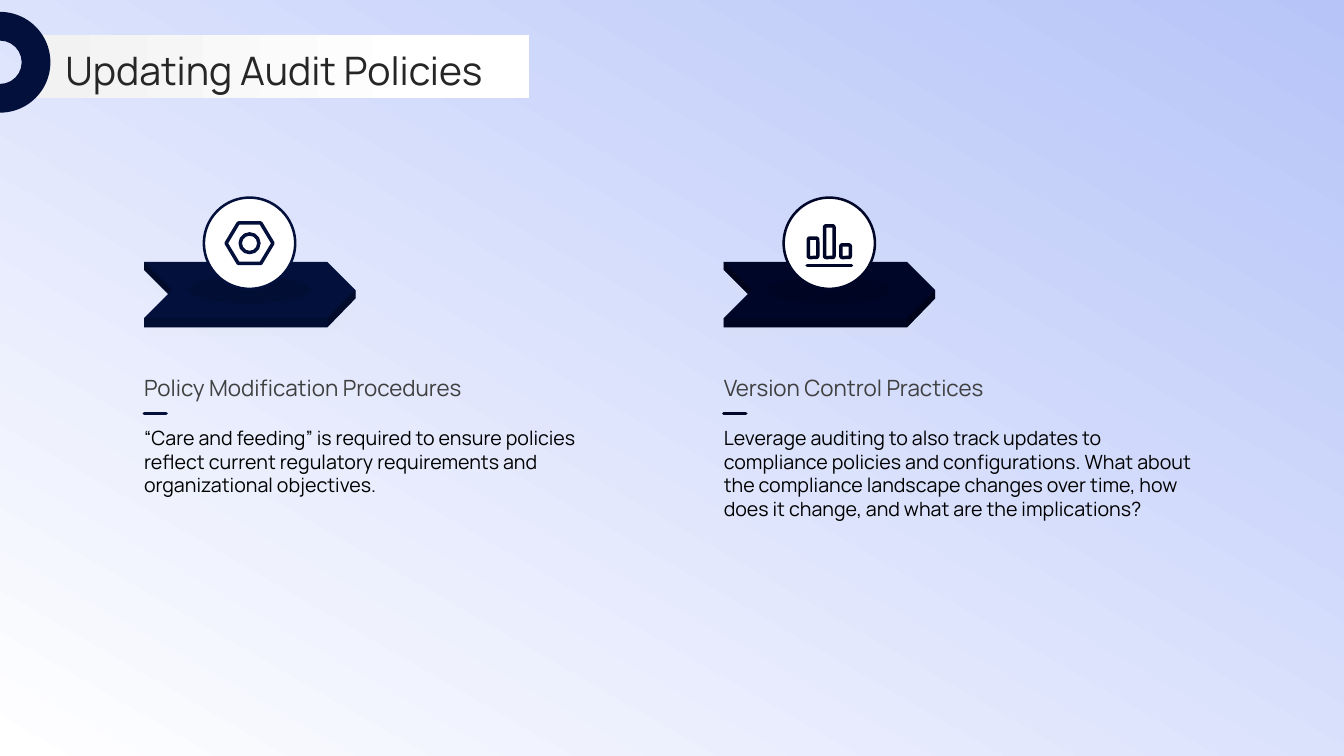
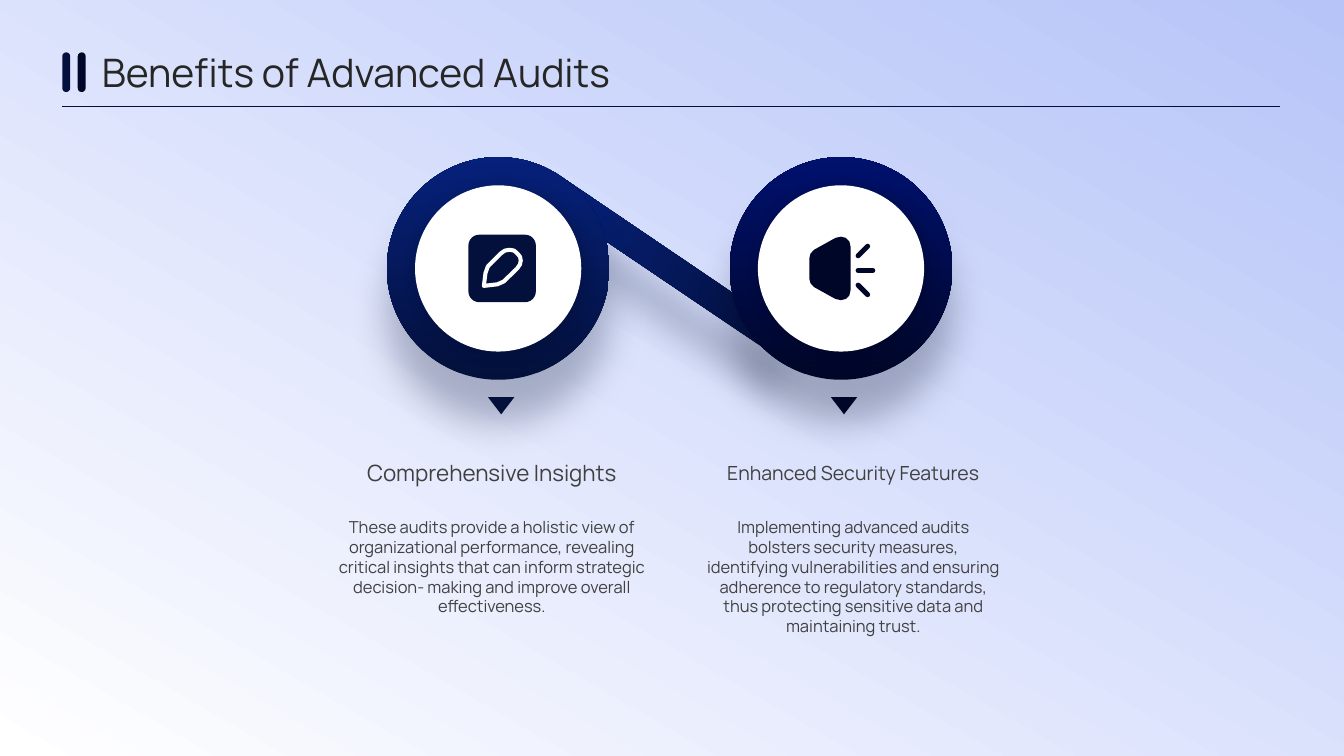
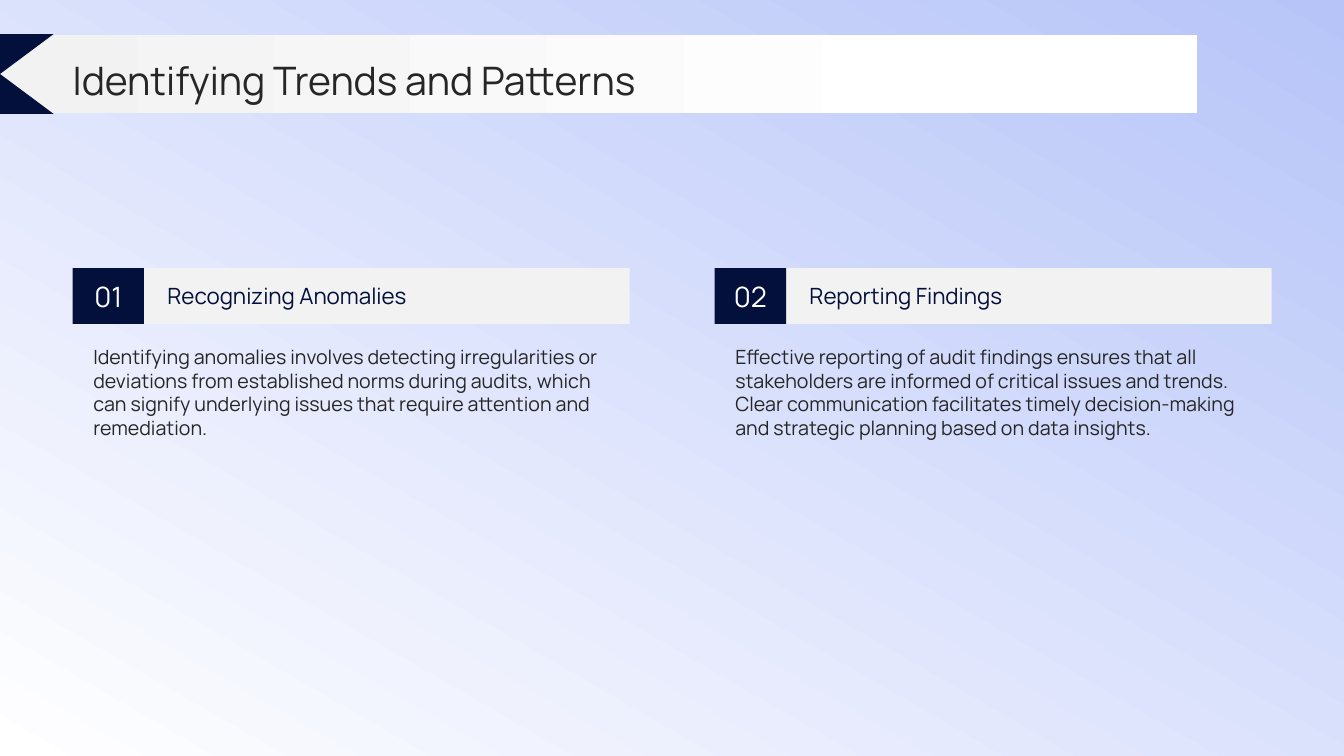
from dataclasses import dataclass

from lxml import etree
from pptx import Presentation
from pptx.dml.color import RGBColor
from pptx.enum import shapes, text
from pptx.oxml import ns
from pptx.util import Cm, Pt

MSO = shapes.MSO_SHAPE
ALIGN = text.PP_ALIGN
ANCHOR = text.MSO_ANCHOR


@dataclass(frozen=True)
class Theme:
    """Colours, font and type sizes of the deck."""
    font: str = "Manrope"
    navy: str = "03103B"
    night: str = "000627"
    navy_light: str = "06217B"
    night_light: str = "00116E"
    sky: str = "B6C4F8"
    white: str = "FFFFFF"
    pale: str = "F2F2F2"
    mist: str = "DFE3E5"
    black: str = "000000"
    ink: str = "262626"
    grey: str = "404040"
    navy_shadow: str = "020C2C"
    night_shadow: str = "00051D"
    title: float = 28
    number: float = 20
    heading: float = 16
    heading_small: float = 13.9
    body: float = 14
    caption: float = 11.8


T = Theme()


def rgb(color):
    """Turn a hex string into a colour."""
    return RGBColor.from_string(color)


def child(parent, tag, **attrs):
    """Add a DrawingML element to a parent."""
    return etree.SubElement(parent, ns.qn(tag), attrs)


def set_gradient(fill, first, last, angle, end=1.0):
    """Fill with two colours along a counter-clockwise angle."""
    fill.gradient()
    fill.gradient_angle = angle
    for stop, color, place in zip(fill.gradient_stops, (first, last), (0.0, end)):
        stop.color.rgb = rgb(color)
        stop.position = place


def paint(sp, fill=None, alpha=None, line=None, weight=0):
    """Give a shape a plain fill and line and no shadow."""
    sp.shadow.inherit = False
    if fill:
        sp.fill.solid()
        sp.fill.fore_color.rgb = rgb(fill)
        if alpha:
            solid = sp._element.spPr.find(ns.qn("a:solidFill"))
            child(solid[0], "a:alpha", val=str(alpha * 1000))
    else:
        sp.fill.background()
    if line:
        sp.line.color.rgb = rgb(line)
        sp.line.width = Pt(weight)
    else:
        sp.line.fill.background()
    return sp


def add_shape(s, kind, left, top, width, height, fill=None, **style):
    """Add a painted preset shape, measured in centimetres."""
    sp = s.shapes.add_shape(kind, Cm(left), Cm(top), Cm(width), Cm(height))
    return paint(sp, fill, **style)


def add_circle(s, cx, cy, size, fill=None, **style):
    """Add a circle around a centre."""
    return add_shape(s, MSO.OVAL, cx - size / 2, cy - size / 2, size, size, fill, **style)


def add_outline(s, left, top, points, fill=None, **style):
    """Add a closed polygon whose points are relative to a corner."""
    spots = [(Cm(left + x), Cm(top + y)) for x, y in points]
    builder = s.shapes.build_freeform(*spots[0])
    builder.add_line_segments(spots[1:], close=True)
    return paint(builder.convert_to_shape(), fill, **style)


def add_line(s, x1, y1, x2, y2, color, weight, cap="flat"):
    """Add a straight line without a shadow."""
    line = s.shapes.add_connector(shapes.MSO_CONNECTOR.STRAIGHT, Cm(x1), Cm(y1), Cm(x2), Cm(y2))
    line.line.color.rgb = rgb(color)
    line.line.width = Pt(weight)
    line._element.spPr.find(ns.qn("a:ln")).set("cap", cap)
    child(line._element.spPr, "a:effectLst")


def add_shadow(sp, color, alpha, blur, distance, angle):
    """Add a soft outer shadow."""
    effects = sp._element.spPr.find(ns.qn("a:effectLst"))
    outer = child(effects, "a:outerShdw", blurRad=str(Pt(blur)), dist=str(Pt(distance)),
                  dir=str(angle * 60000), algn="ctr", rotWithShape="0")
    child(child(outer, "a:srgbClr", val=color), "a:alpha", val=str(alpha * 1000))


def set_text(sp, words, size, color, align=ALIGN.LEFT, anchor=ANCHOR.TOP):
    """Write one plain paragraph into a shape."""
    tf = sp.text_frame
    tf.text = words
    tf.word_wrap = True
    tf.auto_size = text.MSO_AUTO_SIZE.NONE
    tf.vertical_anchor = anchor
    tf.margin_left = tf.margin_right = tf.margin_top = tf.margin_bottom = 0
    p = tf.paragraphs[0]
    p.alignment = align
    p.space_before = Pt(0)
    pPr = p._p.get_or_add_pPr()
    pPr.set("marL", "0")
    pPr.set("indent", "0")
    child(pPr, "a:buNone")
    font = p.runs[0].font
    font.name, font.size, font.bold = T.font, Pt(size), False
    font.color.rgb = rgb(color)


def fill_placeholder(s, idx, box, words, size, color, **style):
    """Move a placeholder to a box, bring it forward and fill it."""
    sp = s.placeholders[idx]
    sp.left, sp.top, sp.width, sp.height = map(Cm, box)
    s.shapes._spTree.append(sp._element)
    set_text(sp, words, size, color, **style)


def add_title(s, left, top, width, words):
    """Fill the slide title."""
    fill_placeholder(s, 0, (left, top, width, 1.3), words, T.title, T.ink, anchor=ANCHOR.MIDDLE)


def add_banner(s, left, top, width, height):
    """Add the pale band behind a title."""
    band = add_shape(s, MSO.RECTANGLE, left, top, width, height)
    set_gradient(band.fill, T.pale, T.white, 0, 0.8)


def nut_icon(s, cx, cy, color):
    """Draw a hexagonal nut."""
    nut = add_shape(s, MSO.HEXAGON, cx - 0.59, cy - 0.51, 1.18, 1.02, line=color, weight=2.5)
    nut.adjustments[0] = 0.3
    add_circle(s, cx, cy, 0.47, line=color, weight=2.5)


def bars_icon(s, cx, cy, color):
    """Draw three bars over a baseline."""
    for step, top in zip((-1, 0, 1), (-0.13, -0.44, 0.04)):
        add_shape(s, MSO.ROUNDED_RECTANGLE, cx + step * 0.41 - 0.12, cy + top, 0.24, 0.36 - top,
                  line=color, weight=2.5)
    add_line(s, cx - 0.56, cy + 0.56, cx + 0.56, cy + 0.56, color, 2.5, "rnd")


def pen_icon(s, cx, cy, color):
    """Draw a pen on a rounded tile."""
    cx += 0.1
    tile = add_shape(s, MSO.ROUNDED_RECTANGLE, cx - 0.85, cy - 0.85, 1.7, 1.7, color)
    tile.adjustments[0] = 0.16
    pen = [(-0.46, 0.44), (-0.42, 0.12), (-0.36, -0.05), (-0.03, -0.38), (0.07, -0.45),
           (0.19, -0.47), (0.3, -0.45), (0.38, -0.38), (0.45, -0.3), (0.47, -0.2),
           (0.45, -0.1), (0.38, 0), (0.04, 0.33), (-0.12, 0.4)]
    add_outline(s, cx, cy, pen, line=T.white, weight=2.9)


def speaker_icon(s, cx, cy, color):
    """Draw a loudspeaker with three rays."""
    upper = [(-0.8, -0.25), (-0.77, -0.37), (-0.68, -0.47), (-0.14, -0.77), (0, -0.8),
             (0.12, -0.77), (0.21, -0.68), (0.24, -0.55)]
    lower = [(x, -y) for x, y in reversed(upper)]
    add_outline(s, cx, cy, upper + lower, color)
    mid = cy + 0.05
    for side, reach in ((-1, 0.67), (0, 0.8), (1, 0.67)):
        add_line(s, cx + 0.43, mid + side * 0.37, cx + reach, mid + side * 0.61, color, 3.6, "rnd")


def arrow_ribbon(s, left, top, color):
    """Draw a thick arrow with shaded facets."""
    face = [(5.33, 0.71), (4.62, 1.42), (0, 1.42), (0.71, 0.71), (0, 0), (4.62, 0)]
    body = [(5.33, 0.71), (5.33, 0.92), (4.62, 1.65), (0, 1.65), (0, 1.42), (0.61, 0.81),
            (0, 0.2), (0, 0), (4.62, 0)]
    tip = [(4.62, 1.65), (4.62, 1.42), (5.33, 0.71), (5.33, 0.92)]
    notch = [(0, 0.2), (0, 0), (0.71, 0.71), (0.61, 0.81)]
    add_outline(s, left, top + 0.43, face, T.mist, alpha=10)
    add_outline(s, left, top, body, color)
    add_shape(s, MSO.RECTANGLE, left, top + 1.42, 4.62, 0.23, T.black, alpha=15)
    for facet in (tip, notch):
        add_outline(s, left, top, facet, T.black, alpha=30)


def policy_column(s, left, top, idx, color, icon, heading, body):
    """Place an arrow with a badge over a heading and text."""
    cx, cy, width = left + 2.66, top + 1.18, 12
    arrow_ribbon(s, left, top + 1.65, color)
    add_shape(s, MSO.OVAL, left + 1.12, top + 2.01, 3.07, 0.69, T.black, alpha=10)
    add_circle(s, cx, cy, 2.3, T.white, line=color, weight=1.8)
    icon(s, cx, cy, color)
    fill_placeholder(s, idx, (left, top + 3.35, width, 1.8), heading, T.heading, T.grey,
                     anchor=ANCHOR.BOTTOM)
    add_line(s, left, top + 5.46, left + 0.56, top + 5.46, color, 2.2, "rnd")
    fill_placeholder(s, idx + 1, (left, top + 5.79, width, 4.5), body, T.body, T.black)


def benefit_disc(s, left, top, color, light, shade, icon):
    """Place a ringed disc with an icon and a pointer."""
    size = 5.61
    cx, cy = left + size / 2, top + size / 2
    ring = add_circle(s, cx, cy, size)
    set_gradient(ring.fill, color, light, 90)
    add_shadow(ring, shade, 25, 26, 30, 90)
    add_shadow(add_circle(s, cx, cy, 4.19, T.white), shade, 40, 11, 3, 45)
    icon(s, cx, cy, color)
    pointer = add_shape(s, MSO.ISOSCELES_TRIANGLE, left + 2.55, top + 6.05, 0.66, 0.43, color)
    pointer.rotation = 180


def benefit_text(s, left, top, width, idx, heading, size, body):
    """Place a centred heading and caption."""
    fill_placeholder(s, idx, (left, top, width, 1.35), heading, size, T.grey,
                     align=ALIGN.CENTER, anchor=ANCHOR.MIDDLE)
    fill_placeholder(s, idx + 1, (left, top + 1.8, width, 4.3), body, T.caption, T.grey,
                     align=ALIGN.CENTER)


def numbered_card(s, left, top, idx, number, heading, body):
    """Place a numbered heading bar over text."""
    height, tile = 1.4, 1.8
    add_shape(s, MSO.RECTANGLE, left + tile, top, 12.24, height, T.pale)
    sp = add_shape(s, MSO.RECTANGLE, left, top, tile, height, T.navy)
    set_text(sp, number, T.number, T.white, ALIGN.CENTER, ANCHOR.MIDDLE)
    fill_placeholder(s, idx, (left + 2.39, top, 11, height), heading, T.heading, T.navy,
                     anchor=ANCHOR.MIDDLE)
    fill_placeholder(s, idx + 1, (left + 0.52, top + 1.93, 13, 4.75), body, T.body, T.ink)


def policies_slide(s):
    """Build the slide on audit policies."""
    columns = [
        (T.navy, nut_icon, "Policy Modification Procedures",
         "“Care and feeding” is required to ensure policies reflect current regulatory "
         "requirements and organizational objectives."),
        (T.night, bars_icon, "Version Control Practices",
         "Leverage auditing to also track updates to compliance policies and configurations. "
         "What about the compliance landscape changes over time, how does it change, and what "
         "are the implications?"),
    ]
    for i, column in enumerate(columns):
        policy_column(s, 3.63 + i * 14.61, 4.95, 1 + 2 * i, *column)
    add_banner(s, 0.84, 0.89, 12.5, 1.57)
    add_title(s, 1.65, 1.12, 30.17, "Updating Audit Policies")
    arc = add_shape(s, MSO.BLOCK_ARC, -1.27, 0.3, 2.54, 2.54, T.navy)
    arc.rotation = 90
    for i, value in enumerate((108, 0, 0.285)):
        arc.adjustments[i] = value


def benefits_slide(s):
    """Build the slide on benefits."""
    link = add_shape(s, MSO.RECTANGLE, 16.48, 3.38, 0.71, 6.65)
    link.rotation = 304.1
    set_gradient(link.fill, T.navy, T.navy_light, 90)
    add_shadow(link, T.navy_shadow, 25, 26, 30, 90)
    discs = [(T.navy, T.navy_light, T.navy_shadow, pen_icon),
             (T.night, T.night_light, T.night_shadow, speaker_icon)]
    for i, disc in enumerate(discs):
        benefit_disc(s, 9.75 + i * 8.64, 3.96, *disc)
    benefit_text(s, 8.33, 11.23, 8.13, 1, "Comprehensive Insights", T.heading,
                 "These audits provide a holistic view of organizational performance, revealing "
                 "critical insights that can inform strategic decision- making and improve "
                 "overall effectiveness.")
    benefit_text(s, 17.81, 11.23, 7.39, 3, "Enhanced Security Features", T.heading_small,
                 "Implementing advanced audits bolsters security measures, identifying "
                 "vulnerabilities and ensuring adherence to regulatory standards, thus "
                 "protecting sensitive data and maintaining trust.")
    add_title(s, 2.57, 1.17, 27.86, "Benefits of Advanced Audits")
    for i, color in enumerate((T.navy, T.night)):
        bar = add_shape(s, MSO.ROUNDED_RECTANGLE, 1.57 + i * 0.39, 1.32, 0.2, 1, color)
        bar.adjustments[0] = 0.5
    add_line(s, 1.57, 2.67, 32.26, 2.67, T.navy, 0.5)


def trends_slide(s):
    """Build the slide on trends."""
    cards = [
        ("Recognizing Anomalies",
         "Identifying anomalies involves detecting irregularities or deviations from "
         "established norms during audits, which can signify underlying issues that require "
         "attention and remediation."),
        ("Reporting Findings",
         "Effective reporting of audit findings ensures that all stakeholders are informed of "
         "critical issues and trends. Clear communication facilitates timely decision-making "
         "and strategic planning based on data insights."),
    ]
    for i, card in enumerate(cards):
        numbered_card(s, 1.83 + i * 16.18, 6.76, 1 + 2 * i, f"{i + 1:02}", *card)
    add_banner(s, 0, 0.89, 30.17, 1.96)
    add_shape(s, MSO.FLOWCHART_COLLATE, -1.35, 0.86, 2.7, 2.01, T.navy)
    add_title(s, 1.83, 1.35, 30.17, "Identifying Trends and Patterns")


def main():
    """Build and save the deck."""
    prs = Presentation()
    prs.slide_width, prs.slide_height = Cm(33.87), Cm(19.05)
    set_gradient(prs.slide_master.background.fill, T.sky, T.white, 240)
    comparison = prs.slide_layouts[4]
    for build in (policies_slide, benefits_slide, trends_slide):
        build(prs.slides.add_slide(comparison))
    prs.save("out.pptx")


if __name__ == "__main__":
    main()
